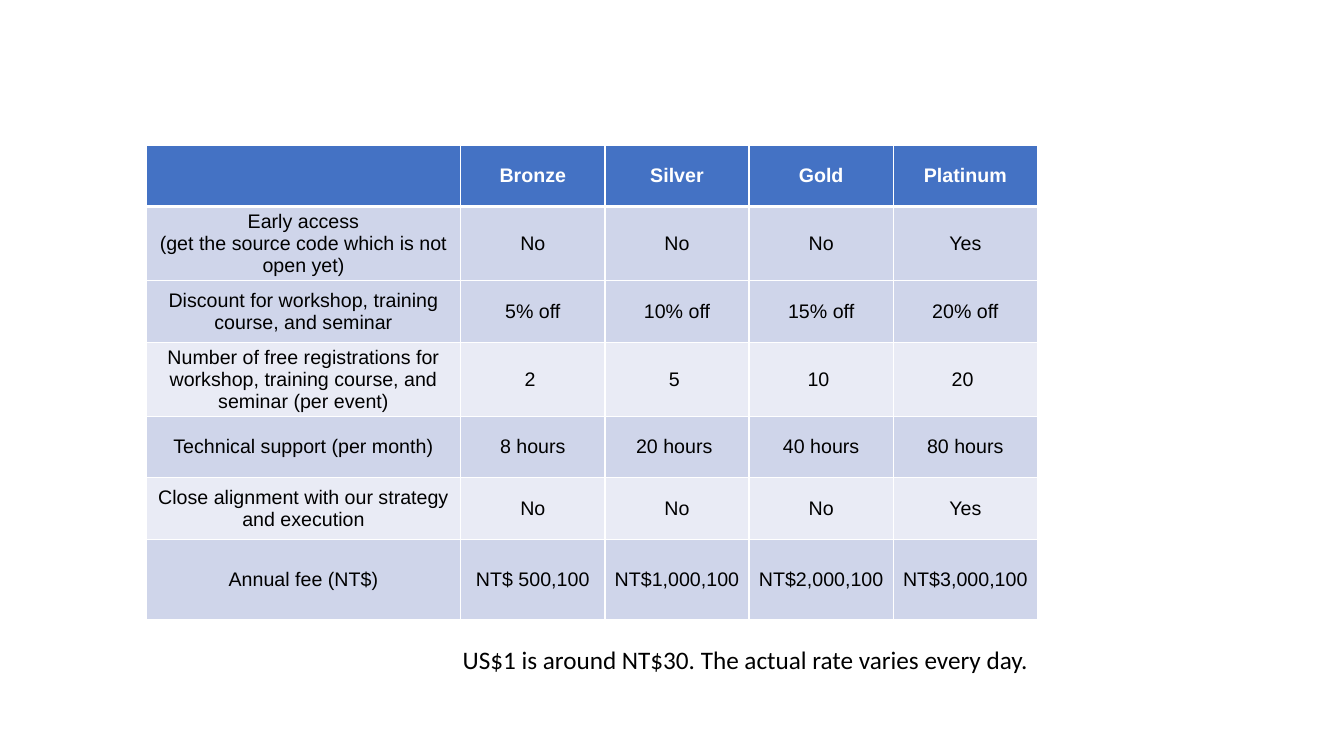
from lxml.etree import SubElement
from pptx import Presentation
from pptx.dml.color import RGBColor
from pptx.enum.text import MSO_ANCHOR, MSO_AUTO_SIZE, PP_ALIGN
from pptx.oxml.ns import qn
from pptx.util import Inches, Pt

WHITE = RGBColor(0xFF, 0xFF, 0xFF)
BLACK = RGBColor(0x00, 0x00, 0x00)
HEADER_BLUE = RGBColor(0x44, 0x72, 0xC4)
BAND_DARK = RGBColor(0xCF, 0xD5, 0xEA)
BAND_LIGHT = RGBColor(0xE9, 0xEB, 0xF5)

COLUMN_WIDTHS = [3.12] + [1.43] * 4
ROW_HEIGHTS = [0.61] * 6 + [0.8]
ROW_FILLS = [HEADER_BLUE, BAND_DARK, BAND_DARK, BAND_LIGHT, BAND_DARK, BAND_LIGHT, BAND_DARK]
MEMBERSHIP_ROWS = [
    ["", "Bronze", "Silver", "Gold", "Platinum"],
    ["Early\u00a0access\n(get the source code which is not open yet)", "No", "No", "No", "Yes"],
    ["Discount for workshop, training course, and seminar",
     "5% off", "10% off", "15%\u00a0off", "20% off"],
    ["Number of free registrations for workshop, training course, and seminar (per event)",
     "2 ", "5 ", "10 ", "20 "],
    ["Technical support (per month)", "8 hours", "20 hours ", "40 hours", "80 hours"],
    ["Close alignment with our strategy and execution", "No", "No", "No", "Yes"],
    ["Annual fee (NT$)", "NT$ 500,100", "NT$1,000,100", "NT$2,000,100", "NT$3,000,100"],
]

CELL_FORMAT = {
    "margin_left": Inches(0.08),
    "margin_right": Inches(0.08),
    "margin_top": Inches(0.04),
    "margin_bottom": Inches(0.04),
    "vertical_anchor": MSO_ANCHOR.MIDDLE,
}
BODY_FONT = {"name": "Arial", "size": Pt(14), "bold": False}
HEADER_FONT = {**BODY_FONT, "bold": True}
NOTE_FONT = {"name": "Calibri", "size": Pt(18)}


def apply_format(target, values):
    for name, value in values.items():
        setattr(target, name, value)


def format_font(font, values, color):
    apply_format(font, values)
    font.color.rgb = color


def add_borders(cell, top, bottom):
    properties = cell._tc.get_or_add_tcPr()
    for side, points in {"lnL": 1, "lnR": 1, "lnT": top, "lnB": bottom}.items():
        line = SubElement(properties, qn(f"a:{side}"), w=str(Pt(points)))
        fill = SubElement(line, qn("a:solidFill"))
        SubElement(fill, qn("a:srgbClr"), val=str(WHITE))


def fill_cell(cell, text, row_index):
    is_header = row_index == 0
    apply_format(cell, CELL_FORMAT)
    add_borders(cell, top=3 if row_index == 1 else 1, bottom=3 if is_header else 1)
    cell.fill.solid()
    cell.fill.fore_color.rgb = ROW_FILLS[row_index]
    cell.text = text
    for paragraph in cell.text_frame.paragraphs:
        paragraph.alignment = PP_ALIGN.CENTER
        format_font(paragraph.font, HEADER_FONT if is_header else BODY_FONT,
                    WHITE if is_header else BLACK)
        for run in paragraph.runs:
            format_font(run.font, HEADER_FONT if is_header else BODY_FONT,
                        WHITE if is_header else BLACK)


def add_membership_table(slide):
    table = slide.shapes.add_table(
        len(ROW_HEIGHTS), len(COLUMN_WIDTHS), Inches(1.45), Inches(1.44),
        Inches(sum(COLUMN_WIDTHS)), Inches(sum(ROW_HEIGHTS))).table
    table.horz_banding = False
    for column, width in zip(table.columns, COLUMN_WIDTHS):
        column.width = Inches(width)
    for row_index, (row, height) in enumerate(zip(table.rows, ROW_HEIGHTS)):
        row.height = Inches(height)
        for cell, text in zip(row.cells, MEMBERSHIP_ROWS[row_index]):
            fill_cell(cell, text, row_index)


def add_note(slide, text, left, top, width, height):
    text_frame = slide.shapes.add_textbox(
        Inches(left), Inches(top), Inches(width), Inches(height)).text_frame
    apply_format(text_frame, {"word_wrap": False, "auto_size": MSO_AUTO_SIZE.SHAPE_TO_FIT_TEXT})
    run = text_frame.paragraphs[0].add_run()
    run.text = text
    format_font(run.font, NOTE_FONT, BLACK)


def main():
    presentation = Presentation()
    apply_format(presentation, {"slide_width": Inches(13.33), "slide_height": Inches(7.5)})
    slide = presentation.slides.add_slide(presentation.slide_layouts[6])
    add_membership_table(slide)
    add_note(slide, "US$1 is around NT$30. The actual rate varies every day.",
             4.49, 6.34, 5.87, 0.4)
    presentation.save("out.pptx")


main()
